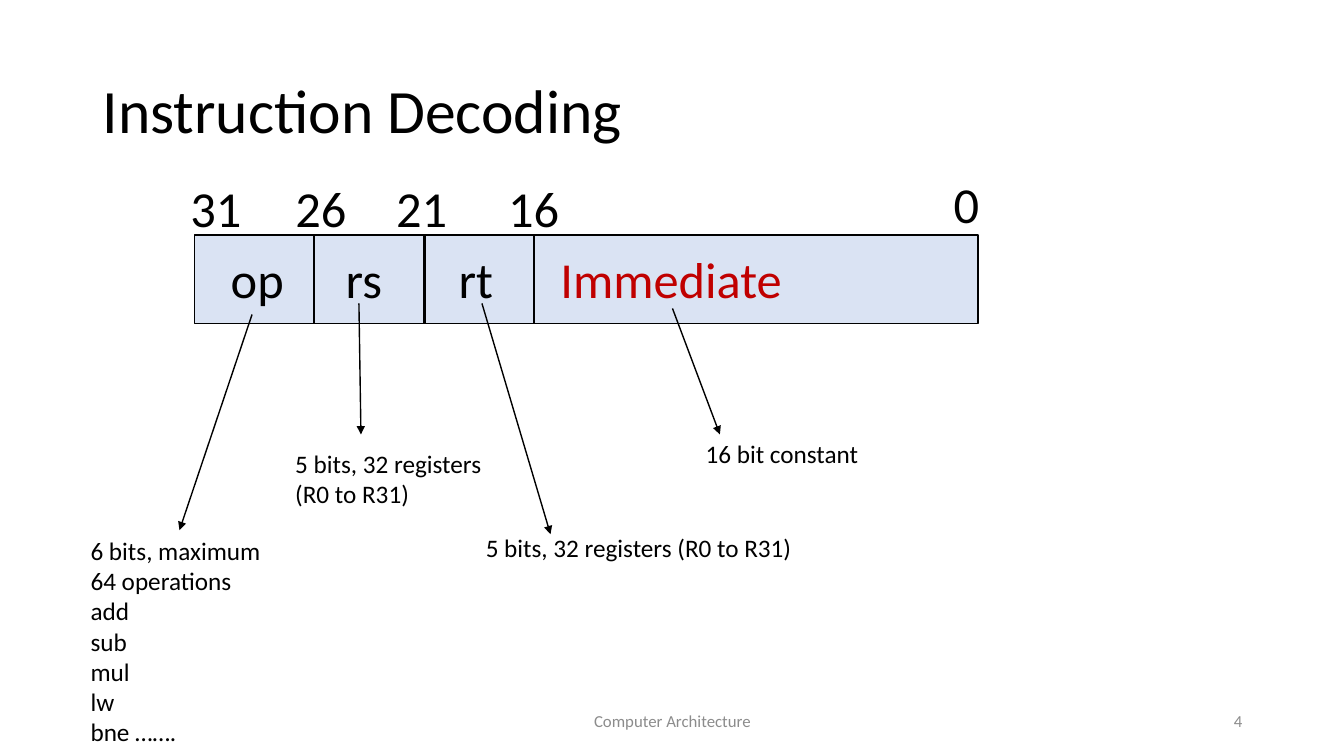
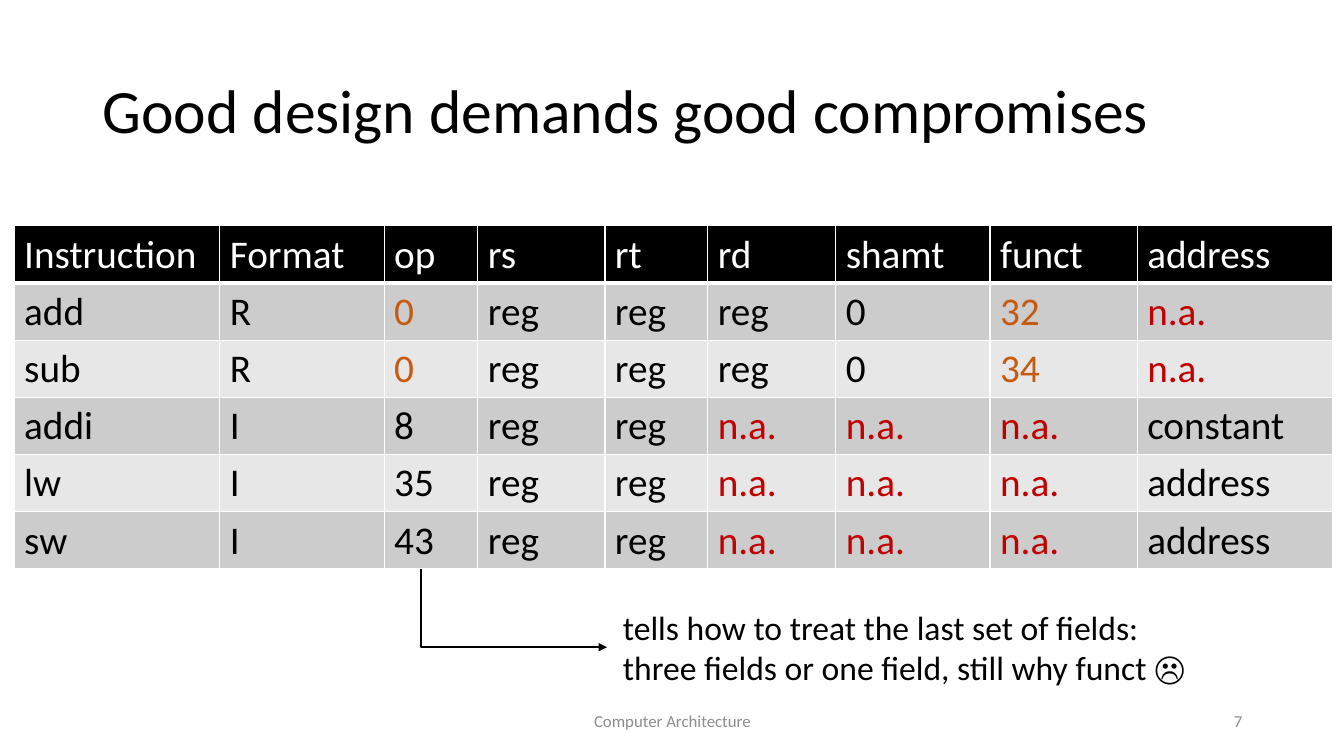
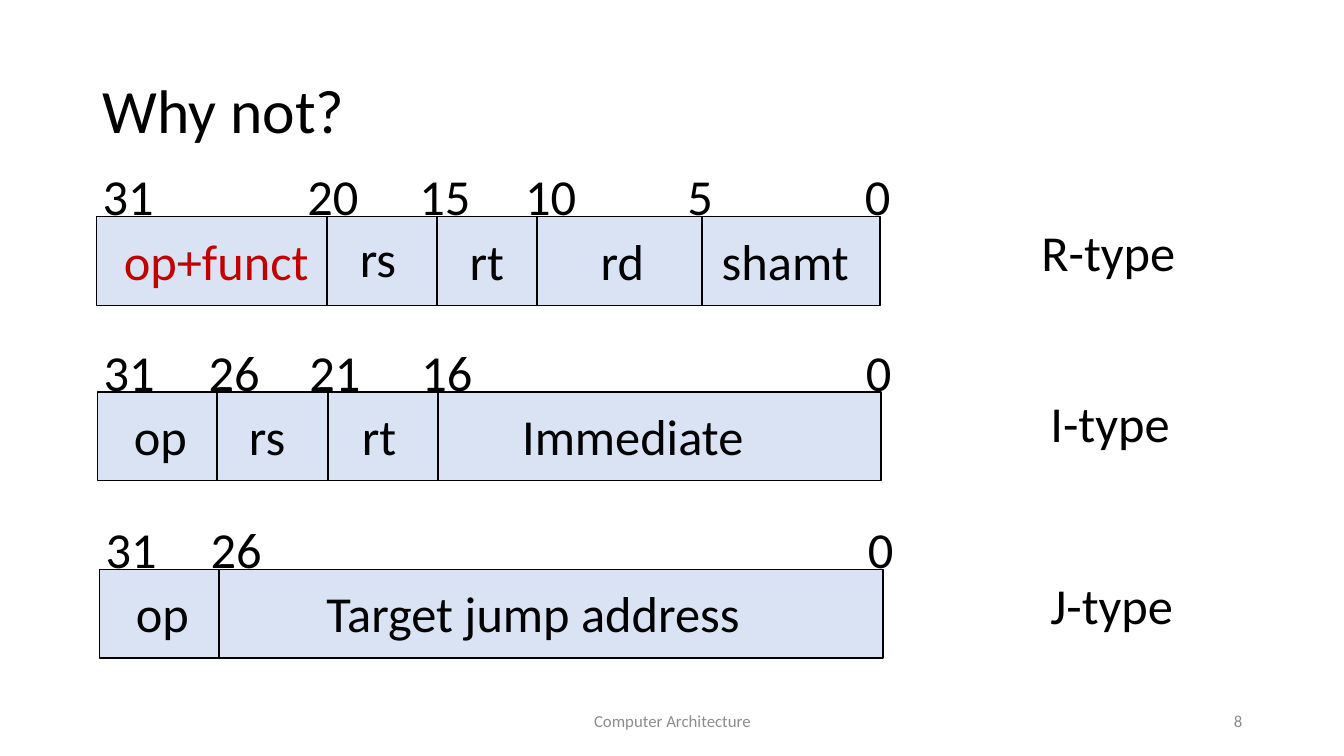
import lxml.etree
import pptx
import pptx.dml.color
import pptx.enum.shapes
import pptx.enum.text
import pptx.oxml.ns
import pptx.util

Inches = pptx.util.Inches
Pt = pptx.util.Pt
qn = pptx.oxml.ns.qn
ALIGN = pptx.enum.text.PP_ALIGN
ANCHOR = pptx.enum.text.MSO_ANCHOR
AUTO_SIZE = pptx.enum.text.MSO_AUTO_SIZE
CONNECTOR = pptx.enum.shapes.MSO_CONNECTOR
SHAPE = pptx.enum.shapes.MSO_SHAPE

BLACK, WHITE, RED, ORANGE = "000000", "FFFFFF", "C00000", "C55A11"
GREY, PALE_BLUE = "8C8C8C", "DAE3F3"
DARK_BAND, LIGHT_BAND = "CCCCCC", "E7E7E7"

BAR_WIDTH, BAR_HEIGHT = 7.77, 0.88
LABEL_HEIGHT = 0.71
FIELD_DROP = 0.08
LABEL_WIDTHS = {
    "op": 0.73, "rs": 0.57, "rt": 0.55, "rd": 0.64, "shamt": 1.47,
    "op+funct": 2.05, "Immediate": 2.42, "Target jump address": 4.34,
    "R-type": 1.54, "I-type": 1.4, "J-type": 1.43, "0": 0.46, "5": 0.46,
}
TWO_DIGITS = 0.71

I_DIVIDERS = [1.18, 2.28, 3.37]
I_FIELDS = [("op", 0.26), ("rs", 1.4), ("rt", 2.52)]
I_BITS = [("31", -0.04), ("26", 1.0), ("21", 2.0), ("16", 3.11)]


def rgb(code):
    return pptx.dml.color.RGBColor.from_string(code)


class Deck:
    def __init__(self):
        self.show = pptx.Presentation()
        self.show.slide_width = Inches(13.33)
        self.show.slide_height = Inches(7.5)
        self.slide = None

    def page(self, title, number):
        self.slide = self.show.slides.add_slide(self.show.slide_layouts[6])
        self.panel(title, 0.92, 0.4, 11.5, 1.45, 44, line_spacing=0.9)
        self.panel("Computer Architecture", 4.42, 6.95, 4.5, 0.4, 12, GREY,
                   alignment=ALIGN.CENTER)
        self.panel(number, 9.42, 6.95, 3, 0.4, 12, GREY,
                   alignment=ALIGN.RIGHT)

    def fill_text(self, frame, text, size, colour=BLACK, **layout):
        font_values = {"size": Pt(size), "name": "Calibri", "bold": False}
        for index, line in enumerate(text.split("\n")):
            paragraph = frame.add_paragraph() if index else frame.paragraphs[0]
            for name, value in layout.items():
                setattr(paragraph, name, value)
            run = paragraph.add_run()
            run.text = line
            for name, value in font_values.items():
                setattr(run.font, name, value)
            run.font.color.rgb = rgb(colour)

    def text_frame(self, left, top, width, height, **values):
        box = self.slide.shapes.add_textbox(
            Inches(left), Inches(top), Inches(width), Inches(height))
        for name, value in values.items():
            setattr(box.text_frame, name, value)
        return box.text_frame

    def panel(self, text, left, top, width, height, size, colour=BLACK,
              **layout):
        frame = self.text_frame(left, top, width, height, word_wrap=True,
                                vertical_anchor=ANCHOR.MIDDLE)
        self.fill_text(frame, text, size, colour, **layout)

    def caption(self, text, left, top, width, height, size=18, colour=BLACK):
        frame = self.text_frame(left, top, width, height, word_wrap=False,
                                auto_size=AUTO_SIZE.SHAPE_TO_FIT_TEXT)
        self.fill_text(frame, text, size, colour)

    def label(self, text, left, top, colour=BLACK):
        width = LABEL_WIDTHS.get(text, TWO_DIGITS)
        self.caption(text, left, top, width, LABEL_HEIGHT, 36, colour)

    def line(self, start, end, weight, arrow=None, kind=CONNECTOR.STRAIGHT):
        connector = self.slide.shapes.add_connector(
            kind, *(Inches(length) for length in (*start, *end)))
        connector.line.color.rgb = rgb(BLACK)
        connector.line.width = Pt(weight)
        properties = connector._element.spPr
        if arrow:
            outline = properties.find(qn("a:ln"))
            lxml.etree.SubElement(outline, qn(arrow), type="triangle")
        lxml.etree.SubElement(properties, qn("a:effectLst"))
        return properties

    def corner_arrow(self, start, end):
        properties = self.line(start, end, 1.5, "a:headEnd", CONNECTOR.ELBOW)
        properties.find(qn("a:xfrm")).set("rot", "10800000")
        properties.find(qn("a:prstGeom")).set("prst", "bentConnector2")

    def register(self, left, top, dividers, fields, bits, bit_rise=0.56,
                 bit_shift=0.0):
        bar = self.slide.shapes.add_shape(
            SHAPE.RECTANGLE, Inches(left), Inches(top),
            Inches(BAR_WIDTH), Inches(BAR_HEIGHT))
        bar.shadow.inherit = False
        bar.fill.solid()
        bar.fill.fore_color.rgb = rgb(PALE_BLUE)
        bar.line.color.rgb = rgb(BLACK)
        bar.line.width = Pt(1)
        for offset in dividers:
            x = left + offset
            self.line((x, top), (x, top + BAR_HEIGHT), 1.5)
        for name, offset, *colour in fields:
            self.label(name, left + offset, top + FIELD_DROP, *colour)
        for bit, offset in bits:
            self.label(bit, left + offset + bit_shift, top - bit_rise)

    def cell(self, cell, text, fill, colour, top_edge, bottom_edge):
        properties = cell._tc.get_or_add_tcPr()
        edges = {"a:lnL": 1, "a:lnR": 1, "a:lnT": top_edge,
                 "a:lnB": bottom_edge}
        for tag, weight in edges.items():
            edge = lxml.etree.SubElement(properties, qn(tag),
                                         w=str(Pt(weight)))
            paint = lxml.etree.SubElement(edge, qn("a:solidFill"))
            lxml.etree.SubElement(paint, qn("a:srgbClr"), val=WHITE)
        cell.fill.solid()
        cell.fill.fore_color.rgb = rgb(fill)
        self.fill_text(cell.text_frame, text, 28, colour)

    def table(self, rows, left, top, widths, height, colour_of):
        table = self.slide.shapes.add_table(
            len(rows), len(widths), Inches(left), Inches(top),
            Inches(sum(widths)), Inches(height)).table
        for column, width in zip(table.columns, widths):
            column.width = Inches(width)
        for r, row in enumerate(rows):
            fill = (LIGHT_BAND, DARK_BAND)[r % 2] if r else BLACK
            for c, text in enumerate(row):
                colour = colour_of(rows[0][c], row) if r else WHITE
                self.cell(table.cell(r, c), text, fill, colour,
                          3 if r == 1 else 1, 1 if r else 3)


def instruction_decoding(deck):
    deck.page("Instruction Decoding", "4")
    deck.register(1.93, 2.33, I_DIVIDERS,
                  I_FIELDS + [("Immediate", 3.53, RED)], I_BITS,
                  bit_rise=0.62, bit_shift=-0.1)
    deck.label("0", 9.36, 1.67)
    for start, end in [((2.5, 3.12), (1.78, 5.26)),
                       ((3.56, 3.01), (3.58, 4.31)),
                       ((4.78, 3.01), (5.46, 5.3)),
                       ((6.67, 3.06), (7.14, 4.31))]:
        deck.line(start, end, 1, "a:tailEnd")
    deck.caption("6 bits, maximum\n64 operations\nadd\nsub\nmul\nlw\nbne …….",
                 0.8, 5.26, 1.96, 2.22)
    deck.caption("5 bits, 32 registers\n(R0 to R31)", 2.83, 4.4, 2.07, 0.71)
    deck.caption("16 bit constant", 6.9, 4.3, 1.79, 0.4)
    deck.caption("5 bits, 32 registers (R0 to R31)", 4.72, 5.23, 3.27, 0.4)


FORMATS = [
    ["Instruction", "Format", "op", "rs", "rt", "rd", "shamt", "funct",
     "address"],
    ["add", "R", "0", "reg", "reg", "reg", "0", "32", "n.a."],
    ["sub", "R", "0", "reg", "reg", "reg", "0", "34", "n.a."],
    ["addi", "I", "8", "reg", "reg", "n.a.", "n.a.", "n.a.", "constant"],
    ["lw", "I", "35", "reg", "reg", "n.a.", "n.a.", "n.a.", "address"],
    ["sw", "I", "43", "reg", "reg", "n.a.", "n.a.", "n.a.", "address"],
]


def field_colour(heading, row):
    text = row[FORMATS[0].index(heading)]
    if text == "n.a.":
        return RED
    if row[1] == "R" and heading in ("op", "funct"):
        return ORANGE
    return BLACK


def good_compromises(deck):
    deck.page("Good design demands good compromises", "7")
    deck.table(FORMATS, 0.14, 2.24,
               [2.04, 1.63, 0.93, 1.26, 1.02, 1.27, 1.53, 1.46, 1.94], 3.4,
               field_colour)
    deck.corner_arrow((4.18, 5.64), (6.02, 6.42))
    deck.caption("tells how to treat the last set of fields:\n"
                 "three fields or one field, still why funct ☹",
                 6.08, 5.97, 5.81, 0.91, 24)


def why_not(deck):
    deck.page("Why not?", "8")
    last_bit = ("0", 7.52)
    deck.register(0.96, 2.15, [2.28, 3.37, 4.37, 6],
                  [("op+funct", 0.17, RED), ("rt", 3.6), ("rd", 4.9),
                   ("shamt", 6.1)],
                  [("31", -0.04), ("20", 1.99), ("15", 3.1), ("10", 4.15),
                   ("5", 5.76), last_bit])
    deck.label("rs", 3.47, 2.2)
    deck.register(0.97, 3.89, I_DIVIDERS,
                  I_FIELDS + [("Immediate", 4.11)], I_BITS + [last_bit])
    deck.register(0.99, 5.65, I_DIVIDERS[:1],
                  I_FIELDS[:1] + [("Target jump address", 2.15)],
                  I_BITS[:2] + [last_bit])
    for name, left, top in [("R-type", 10.23, 2.14), ("I-type", 10.32, 3.84),
                            ("J-type", 10.32, 5.65)]:
        deck.label(name, left, top)


def main():
    deck = Deck()
    instruction_decoding(deck)
    good_compromises(deck)
    why_not(deck)
    deck.show.save("out.pptx")


if __name__ == "__main__":
    main()
